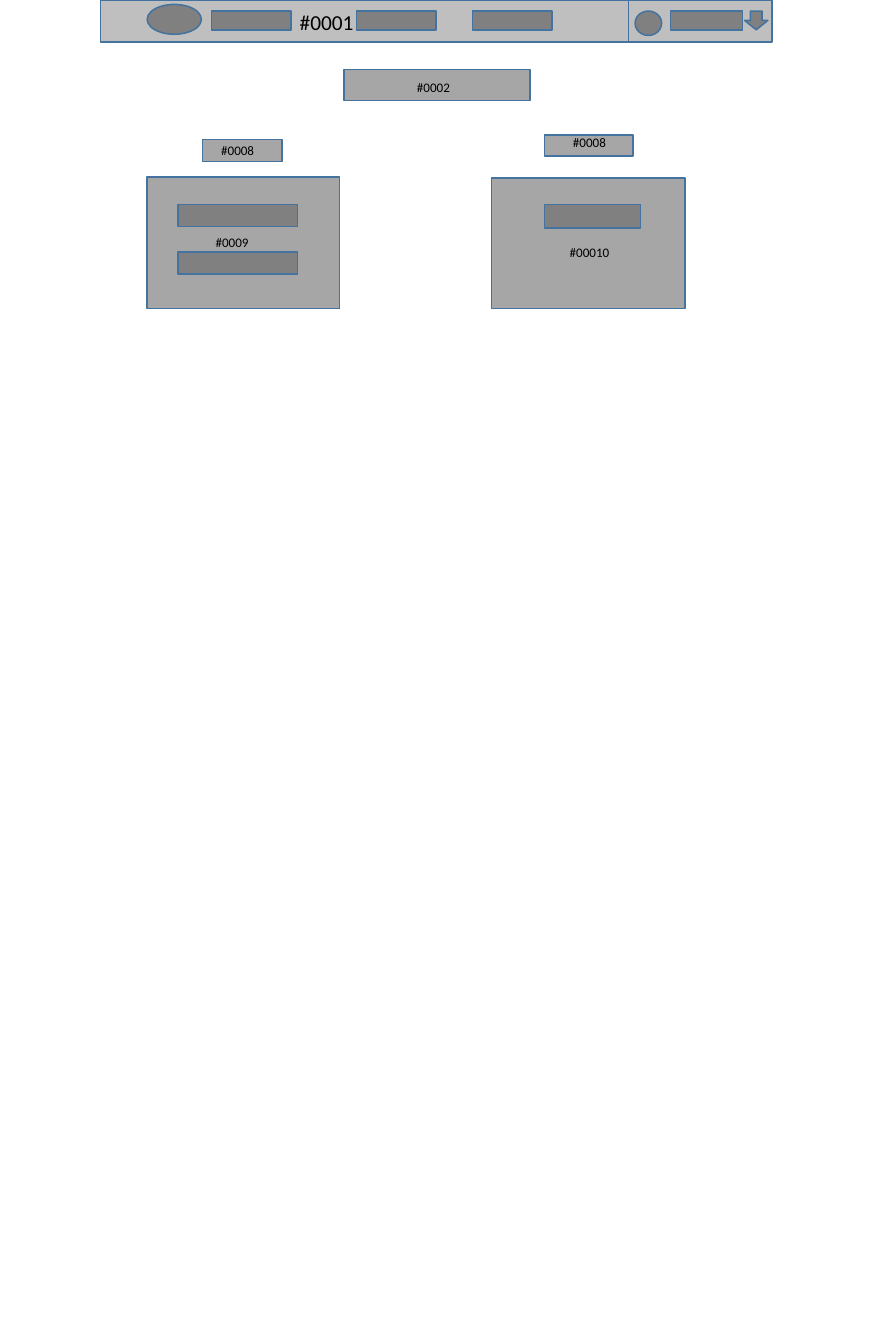
from dataclasses import dataclass

from pptx import Presentation
from pptx.dml.color import RGBColor
from pptx.enum.shapes import MSO_SHAPE
from pptx.util import Pt

RECTANGLE = MSO_SHAPE.RECTANGLE
OVAL = MSO_SHAPE.OVAL
DOWN_ARROW = MSO_SHAPE.DOWN_ARROW


@dataclass(frozen=True)
class Theme:
    bar: RGBColor = RGBColor(0xBF, 0xBF, 0xBF)
    panel: RGBColor = RGBColor(0xA6, 0xA6, 0xA6)
    control: RGBColor = RGBColor(0x80, 0x80, 0x80)
    outline: RGBColor = RGBColor(0x43, 0x73, 0x9E)
    text: RGBColor = RGBColor(0, 0, 0)
    font: str = "Calibri"
    label_size: float = 8.5
    header_size: float = 13.9
    outline_width: float = 1


THEME = Theme()


@dataclass(frozen=True)
class Block:
    left: float
    top: float
    width: float
    height: float
    fill: RGBColor
    kind: MSO_SHAPE = RECTANGLE


@dataclass(frozen=True)
class Label:
    text: str
    left: float
    top: float
    width: float = 43.92
    height: float = 17.28
    size: float = THEME.label_size


BAR_HEIGHT = 27.36
CONTROL_TOP = 7.2
CONTROL_HEIGHT = 12.24

HEADER_BARS = [
    Block(65.52, 0, 343.44, BAR_HEIGHT, THEME.bar),
    Block(408.96, 0, 93.6, BAR_HEIGHT, THEME.bar),
]
MENU_ITEMS = [
    Block(left, CONTROL_TOP, 51.84, CONTROL_HEIGHT, THEME.control)
    for left in (137.52, 231.84, 307.44)
]
HEADER_CONTROLS = [
    Block(95.76, 2.88, 35.28, 19.44, THEME.control, OVAL),
    Block(413.28, CONTROL_TOP, 17.28, 15.84, THEME.control, OVAL),
    Block(436.32, CONTROL_TOP, 46.8, CONTROL_HEIGHT, THEME.control),
    Block(484.56, CONTROL_TOP, 15.12, CONTROL_HEIGHT, THEME.control, DOWN_ARROW),
]
PANELS = [
    Block(223.92, 45.36, 120.96, 20.16, THEME.panel),
    Block(131.76, 90.72, 51.84, 14.4, THEME.panel),
    Block(354.24, 87.84, 57.6, 13.68, THEME.panel),
    Block(95.76, 115.2, 125.28, 85.68, THEME.panel),
    Block(319.68, 115.92, 126, 84.96, THEME.panel),
]
FIELDS = [
    Block(115.92, 133.2, 77.76, 14.4, THEME.control),
    Block(115.92, 164.16, 77.76, 14.4, THEME.control),
    Block(354.24, 133.2, 62.64, 15.12, THEME.control),
]
LABELS = [
    Label("#0001", 187.92, 2.16, 56.16, 23.76, THEME.header_size),
    Label("#0002", 264.24, 48.24),
    Label("#0008", 136.8, 89.28),
    Label("#0008", 365.76, 84.24),
    Label("#0009", 133.2, 149.04),
    Label("#00010", 363.6, 155.52),
]


def draw_block(page, block: Block) -> None:
    shape = page.shapes.add_shape(
        block.kind, Pt(block.left), Pt(block.top), Pt(block.width), Pt(block.height)
    )
    shape.shadow.inherit = False
    shape.fill.solid()
    shape.fill.fore_color.rgb = block.fill
    shape.line.color.rgb = THEME.outline
    shape.line.width = Pt(THEME.outline_width)


def draw_label(page, label: Label) -> None:
    box = page.shapes.add_textbox(
        Pt(label.left), Pt(label.top), Pt(label.width), Pt(label.height)
    )
    box.text_frame.word_wrap = True
    para = box.text_frame.paragraphs[0]
    para.text = label.text
    para.font.name = THEME.font
    para.font.size = Pt(label.size)
    para.font.color.rgb = THEME.text


def main() -> None:
    deck = Presentation()
    deck.slide_width = Pt(568.08)
    deck.slide_height = Pt(874.8)
    blank_layout = deck.slide_layouts[6]
    page = deck.slides.add_slide(blank_layout)
    for block in HEADER_BARS + MENU_ITEMS + HEADER_CONTROLS + PANELS + FIELDS:
        draw_block(page, block)
    for label in LABELS:
        draw_label(page, label)
    deck.save("out.pptx")


if __name__ == "__main__":
    main()
